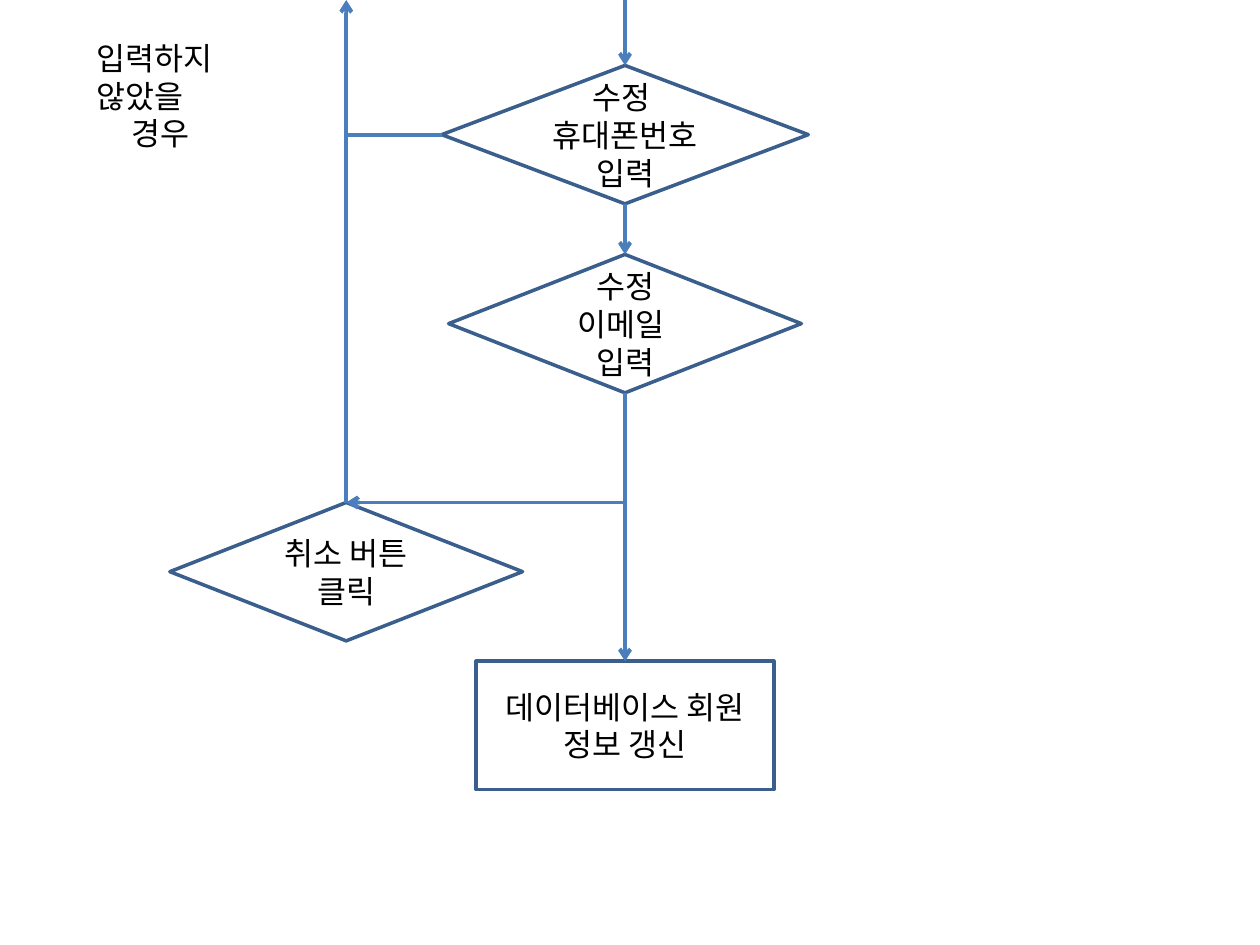
from lxml import etree
from pptx import Presentation
from pptx.dml.color import RGBColor
from pptx.enum import shapes, text
from pptx.oxml.ns import qn
from pptx.util import Cm, Pt

"""Build the flow chart for updating member details."""

COLORS = {"fill": "FFFFFF", "outline": "3A5F8C", "flow": "4B7EBC", "text": "000000"}
FONT = "Noto Sans CJK KR"
MAIN_X, BRANCH_X = 12.6, 6.98
DECISION = shapes.MSO_SHAPE.FLOWCHART_DECISION
PROCESS = shapes.MSO_SHAPE.RECTANGLE
TOP, LEFT, BOTTOM = 0, 1, 2

# name: kind, centre x, top, width, height, paragraphs
STEPS = {
    "phone": (DECISION, MAIN_X, 1.32, 7.39, 2.79, ["수정 ", "휴대폰번호 입력"]),
    "email": (DECISION, MAIN_X, 5.13, 7.11, 2.79, ["수정", "이메일 ", "입력"]),
    "update": (PROCESS, MAIN_X, 13.33, 6, 2.59, ["데이터베이스 회원 정보 갱신"]),
    "cancel": (DECISION, BRANCH_X, 10.13, 7.11, 2.79, ["취소 버튼 클릭"]),
}
CANCEL_Y = STEPS["cancel"][2]
PHONE_Y = STEPS["phone"][2] + STEPS["phone"][4] / 2

# each end is a point (x, y) or a step with its side; then whether it has an arrowhead
FLOWS = [
    ((MAIN_X, 0), ("phone", TOP), True),
    (("phone", BOTTOM), ("email", TOP), True),
    (("email", BOTTOM), ("update", TOP), True),
    ((MAIN_X, CANCEL_Y), ("cancel", TOP), True),
    (("cancel", TOP), (BRANCH_X, 0), True),
    (("phone", LEFT), (BRANCH_X, PHONE_Y), False),
]
NOTE = ["입력하지 않았을", "경우"]


def color(name):
    return RGBColor.from_string(COLORS[name])


def write(frame, lines, align):
    frame.word_wrap = True
    frame.text = "\n".join(lines)
    for para in frame.paragraphs:
        para.alignment = align
        for span in para.runs:
            span.font.size = Pt(18)
            span.font.color.rgb = color("text")
            span.font.name = FONT
            etree.SubElement(span.font._element, qn("a:ea"), typeface=FONT)


def add_step(page, kind, center, top, width, height, lines):
    box = page.shapes.add_shape(
        kind, Cm(center - width / 2), Cm(top), Cm(width), Cm(height))
    box.shadow.inherit = False
    box.fill.solid()
    box.fill.fore_color.rgb = color("fill")
    box.line.color.rgb = color("outline")
    box.line.width = Pt(2)
    box.text_frame.vertical_anchor = text.MSO_ANCHOR.MIDDLE
    write(box.text_frame, lines, text.PP_ALIGN.CENTER)
    return box


def add_flow(page, boxes, start, end, arrow):
    points = [(0, 0) if place[0] in boxes else place for place in (start, end)]
    flow = page.shapes.add_connector(
        shapes.MSO_CONNECTOR.STRAIGHT, *[Cm(value) for point in points for value in point])
    for place, connect in ((start, flow.begin_connect), (end, flow.end_connect)):
        if place[0] in boxes:
            connect(boxes[place[0]], place[1])
    flow.line.color.rgb = color("flow")
    flow.line.width = Pt(2.25)
    if arrow:
        etree.SubElement(flow.line._get_or_add_ln(), qn("a:tailEnd"), type="arrow")
    etree.SubElement(flow._element.spPr, qn("a:effectLst"))


def main():
    deck = Presentation()
    deck.slide_width, deck.slide_height = Cm(25.4), Cm(19.05)
    page = deck.slides.add_slide(deck.slide_layouts[6])
    boxes = {name: add_step(page, *step) for name, step in STEPS.items()}
    for flow in FLOWS:
        add_flow(page, boxes, *flow)
    note = page.shapes.add_textbox(Cm(1.7), Cm(0.66), Cm(4.55), Cm(2.57))
    write(note.text_frame, NOTE, text.PP_ALIGN.LEFT)
    note.text_frame.paragraphs[1]._p.get_or_add_pPr().set("marL", str(Cm(0.71)))
    deck.save("out.pptx")


if __name__ == "__main__":
    main()
